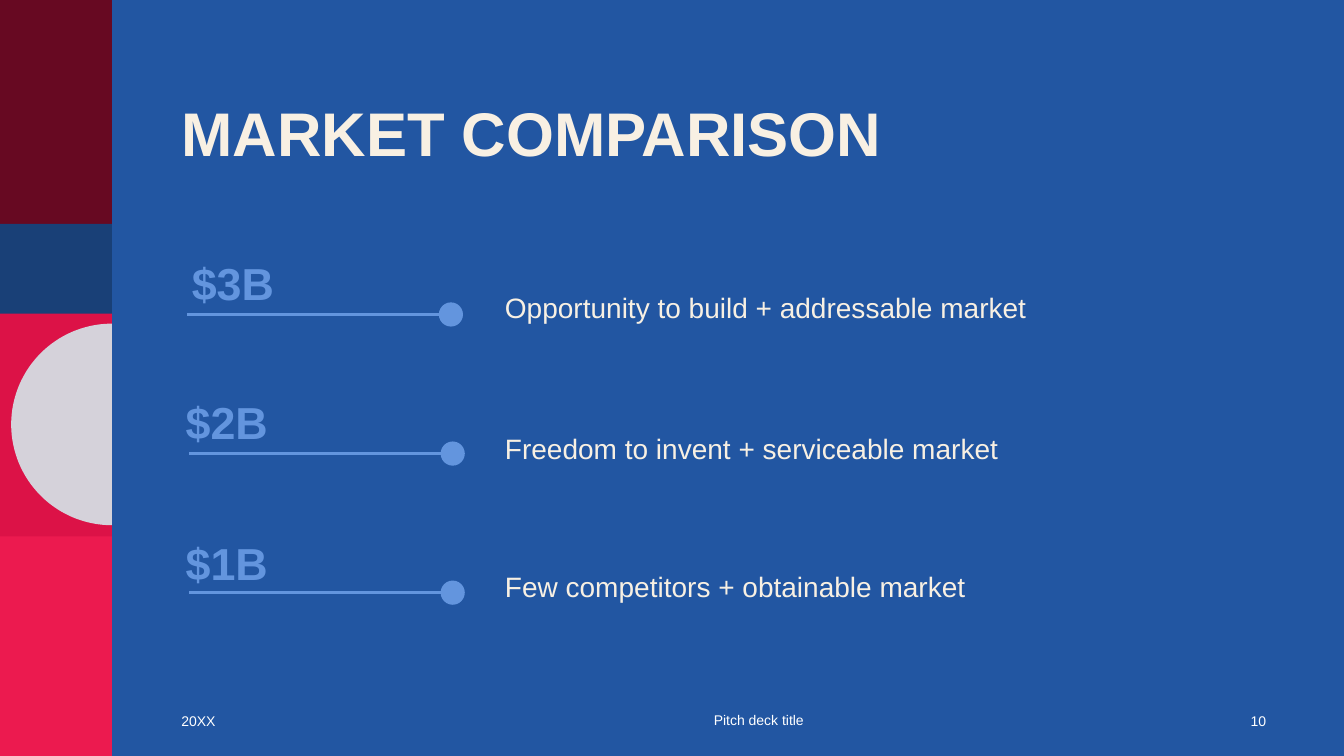
from dataclasses import dataclass
from math import cos, pi, sin

from lxml.etree import SubElement
from pptx import Presentation
from pptx.dml.color import RGBColor
from pptx.enum.shapes import MSO_CONNECTOR, MSO_SHAPE
from pptx.enum.text import MSO_ANCHOR, PP_ALIGN
from pptx.oxml.ns import qn
from pptx.shapes.autoshape import Shape
from pptx.slide import Slide
from pptx.util import Emu, Inches, Pt

SLIDE_WIDTH, SLIDE_HEIGHT = Inches(13.33), Inches(7.5)
COLUMNS, ROWS = 120, 67.5

BLUE = RGBColor(0x22, 0x56, 0xA2)
NAVY = RGBColor(0x19, 0x40, 0x77)
MAROON = RGBColor(0x67, 0x09, 0x22)
CRIMSON = RGBColor(0xDC, 0x12, 0x47)
RED = RGBColor(0xEC, 0x1A, 0x4F)
GREY = RGBColor(0xD5, 0xD2, 0xDA)
SKY = RGBColor(0x63, 0x95, 0xDE)
CREAM = RGBColor(0xF8, 0xF0, 0xE3)
WHITE = RGBColor(0xFF, 0xFF, 0xFF)


@dataclass(frozen=True)
class Box:
    """A place on the grid, in columns and rows."""
    column: float
    row: float
    width: float
    height: float


@dataclass(frozen=True)
class Style:
    size: int
    color: RGBColor
    bold: bool = False
    align: PP_ALIGN = PP_ALIGN.LEFT
    anchor: MSO_ANCHOR = MSO_ANCHOR.TOP
    line_spacing: float = 0.9
    space_before: int = 10


@dataclass(frozen=True)
class Band:
    row: float
    height: float
    color: RGBColor


@dataclass(frozen=True)
class Market:
    amount: str
    amount_column: float
    amount_row: float
    claim: str
    claim_row: float
    line_column: float


@dataclass(frozen=True)
class FooterItem:
    text: str
    box: Box
    align: PP_ALIGN


TITLE = Style(44, CREAM, bold=True, space_before=0)
AMOUNT = Style(32, SKY, bold=True, align=PP_ALIGN.CENTER, anchor=MSO_ANCHOR.MIDDLE)
CLAIM = Style(20, CREAM)

SIDEBAR_WIDTH = 10
BANDS = [
    Band(47.5, 20, RED),
    Band(27.9, 20, CRIMSON),
    Band(0, 20, MAROON),
    Band(20, 8, NAVY),
]
MARKETS = [
    Market("$3B", 13.6, 21.7, "Opportunity to build + addressable market", 25.83, 16.74),
    Market("$2B", 13.05, 34.1, "Freedom to invent + serviceable market", 38.43, 16.9),
    Market("$1B", 13.05, 46.7, "Few competitors + obtainable market", 50.76, 16.9),
]
FIRST_LINE_ROW, LINE_PITCH, LINE_LENGTH = 28.08, 12.42, 22.8
DOT_SIZE, DOT_OVERLAP = 2.16, 0.36
FOOTER = [
    FooterItem("20XX", Box(15.3, 62.55, 10.8, 3.6), PP_ALIGN.LEFT),
    FooterItem("Pitch deck title", Box(56.5, 62.46, 22.5, 3.6), PP_ALIGN.CENTER),
    FooterItem("10", Box(109.44, 62.55, 4.5, 3.6), PP_ALIGN.RIGHT),
]


def across(columns: float) -> Emu:
    return Emu(round(SLIDE_WIDTH * columns / COLUMNS))


def down(rows: float) -> Emu:
    return Emu(round(SLIDE_HEIGHT * rows / ROWS))


def place(box: Box) -> tuple[Emu, Emu, Emu, Emu]:
    return across(box.column), down(box.row), across(box.width), down(box.height)


def paint(shape: Shape, color: RGBColor) -> None:
    shape.shadow.inherit = False
    shape.fill.solid()
    shape.fill.fore_color.rgb = color
    shape.line.fill.background()


def add_filled(slide: Slide, preset: MSO_SHAPE, box: Box, color: RGBColor) -> None:
    paint(slide.shapes.add_shape(preset, *place(box)), color)


def add_text(slide: Slide, text: str, box: Box, style: Style) -> None:
    frame = slide.shapes.add_textbox(*place(box)).text_frame
    frame.word_wrap = True
    frame.vertical_anchor = style.anchor
    frame.text = text
    paragraph = frame.paragraphs[0]
    paragraph.alignment = style.align
    paragraph.line_spacing = style.line_spacing
    paragraph.space_before = Pt(style.space_before)
    font = paragraph.runs[0].font
    font.name, font.size, font.bold = "Arial", Pt(style.size), style.bold
    font.color.rgb = style.color


def add_half_disc(slide: Slide, column: float, row: float, radius: float) -> None:
    steps = 90
    angles = [pi / 2 + pi * step / steps for step in range(steps + 1)]
    points = [(across(column + radius * cos(angle)), down(row - radius * sin(angle)))
              for angle in angles]
    builder = slide.shapes.build_freeform(*points[0])
    builder.add_line_segments(points[1:], close=True)
    paint(builder.convert_to_shape(), GREY)


def add_pointer(slide: Slide, column: float, row: float) -> None:
    end = column + LINE_LENGTH
    rule = slide.shapes.add_connector(
        MSO_CONNECTOR.STRAIGHT, across(column), down(row), across(end), down(row))
    rule.line.color.rgb = SKY
    rule.line.width = Pt(2)
    SubElement(rule._element.spPr, qn("a:effectLst"))
    dot = Box(end - DOT_OVERLAP, row - DOT_SIZE / 2, DOT_SIZE, DOT_SIZE)
    add_filled(slide, MSO_SHAPE.OVAL, dot, SKY)


def main() -> None:
    deck = Presentation()
    deck.slide_width, deck.slide_height = SLIDE_WIDTH, SLIDE_HEIGHT
    slide = deck.slides.add_slide(deck.slide_layouts[6])
    slide.background.fill.solid()
    slide.background.fill.fore_color.rgb = BLUE

    # Sidebar
    for band in BANDS:
        add_filled(slide, MSO_SHAPE.RECTANGLE,
                   Box(0, band.row, SIDEBAR_WIDTH, band.height), band.color)
    add_half_disc(slide, SIDEBAR_WIDTH, 37.9, 9)

    # Title
    add_text(slide, "MARKET COMPARISON", Box(15.3, 8.82, 100.26, 13.05), TITLE)

    # Markets
    for index, market in enumerate(MARKETS):
        add_text(slide, market.amount,
                 Box(market.amount_column, market.amount_row, 14.4, 7.74), AMOUNT)
        add_text(slide, market.claim, Box(44.2, market.claim_row, 60.57, 9.27), CLAIM)
        add_pointer(slide, market.line_column, FIRST_LINE_ROW + index * LINE_PITCH)

    # Footer
    for item in FOOTER:
        add_text(slide, item.text, item.box,
                 Style(10, WHITE, align=item.align, anchor=MSO_ANCHOR.MIDDLE,
                       line_spacing=1.0, space_before=0))

    deck.save("out.pptx")


if __name__ == "__main__":
    main()
